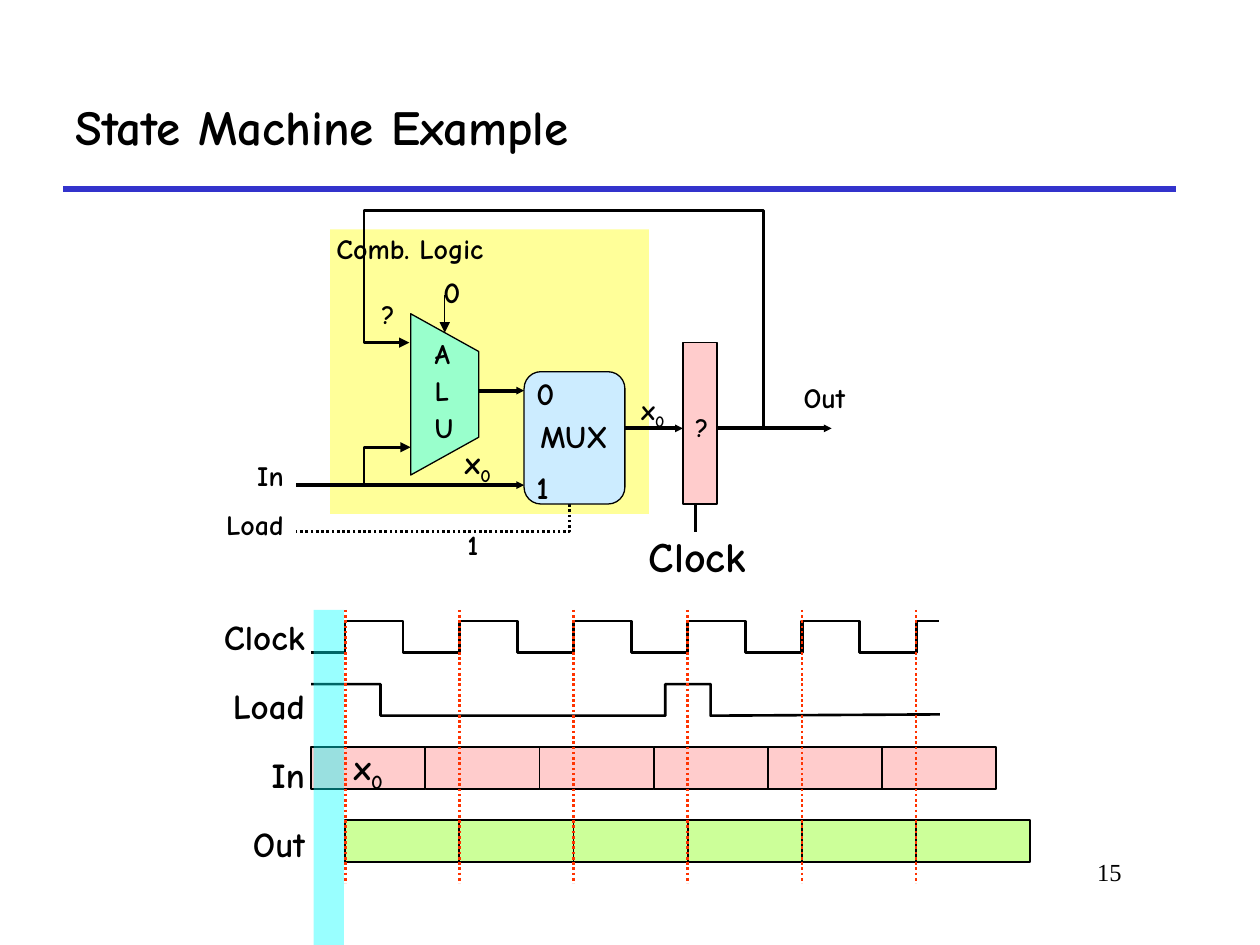
from dataclasses import dataclass
from typing import Optional

import pptx
import pptx.dml.color
import pptx.enum.dml
import pptx.enum.shapes
import pptx.enum.text
import pptx.oxml.ns
import pptx.util
from lxml import etree

Inches, Pt = pptx.util.Inches, pptx.util.Pt
RGBColor = pptx.dml.color.RGBColor
Shape = pptx.enum.shapes.MSO_SHAPE
Align, Anchor = pptx.enum.text.PP_ALIGN, pptx.enum.text.MSO_ANCHOR
qn = pptx.oxml.ns.qn

BLACK = RGBColor(0x00, 0x00, 0x00)
BLUE = RGBColor(0x33, 0x33, 0xCC)
RED = RGBColor(0xFF, 0x33, 0x00)
YELLOW = RGBColor(0xFF, 0xFF, 0x99)
MINT = RGBColor(0x99, 0xFF, 0xCC)
SKY = RGBColor(0xCC, 0xEC, 0xFF)
PINK = RGBColor(0xFF, 0xCC, 0xCC)
LIME = RGBColor(0xCC, 0xFF, 0x99)
CYAN = RGBColor(0x00, 0xFF, 0xFF)

CYCLES = 6
PERIOD = 4.53 / 5
DATA_LEFT = 2.47   # start of the input row
EDGE_LEFT = 2.74   # first rising clock edge
Point = tuple[float, float]


@dataclass
class Label:
    text: str          # paragraphs split by line breaks
    left: float
    top: float
    width: float
    height: float
    size: float = 16
    subscript: str = ""
    inset: float = 0.1
    align: Align = Align.LEFT
    anchor: Anchor = Anchor.TOP
    wrap: bool = True
    bold: bool = True
    font: str = "Comic Neue"
    spacing: float = 0.9


@dataclass
class Stroke:
    width: float
    color: RGBColor = BLACK
    dotted: bool = False
    head: Optional[str] = None   # arrowhead size: sm or med


def write(shape, label: Label) -> None:
    frame = shape.text_frame
    frame.word_wrap = label.wrap
    if not label.wrap:
        frame.auto_size = pptx.enum.text.MSO_AUTO_SIZE.SHAPE_TO_FIT_TEXT
    frame.vertical_anchor = label.anchor
    frame.margin_left = frame.margin_right = Inches(label.inset)
    frame.margin_top = frame.margin_bottom = Inches(0.05)
    for index, line in enumerate(label.text.split("\n")):
        para = frame.add_paragraph() if index else frame.paragraphs[0]
        para.alignment = label.align
        para.line_spacing = label.spacing
        if index:
            para.space_before = Pt(label.size / 4)
        for text, lowered in ((line, False), (label.subscript, True)):
            if not text:
                continue
            span = para.add_run()
            span.text = text
            span.font.name = label.font
            span.font.size = Pt(label.size)
            span.font.bold = label.bold
            span.font.color.rgb = BLACK
            if lowered:
                span.font._element.set("baseline", "-25000")


def add_label(slide, label: Label) -> None:
    box = slide.shapes.add_textbox(Inches(label.left), Inches(label.top),
                                   Inches(label.width), Inches(label.height))
    write(box, label)


def apply_stroke(shape, stroke: Stroke) -> None:
    shape.line.color.rgb = stroke.color
    shape.line.width = Pt(stroke.width)
    if stroke.dotted:
        shape.line.dash_style = pptx.enum.dml.MSO_LINE.ROUND_DOT
    if stroke.head:
        etree.SubElement(shape.element.spPr.find(qn("a:ln")), qn("a:tailEnd"),
                         type="triangle", w=stroke.head, len=stroke.head)


def add_line(slide, start: Point, end: Point, stroke: Stroke) -> None:
    line = slide.shapes.add_connector(
        pptx.enum.shapes.MSO_CONNECTOR.STRAIGHT,
        *(Inches(value) for value in (*start, *end)))
    apply_stroke(line, stroke)
    etree.SubElement(line.element.spPr, qn("a:effectLst"))


def add_outline(slide, points: list[Point], stroke: Stroke,
                fill: Optional[RGBColor] = None) -> None:
    corners = [(Inches(x), Inches(y)) for x, y in points]
    builder = slide.shapes.build_freeform(*corners[0])
    builder.add_line_segments(corners[1:], close=fill is not None)
    finish(builder.convert_to_shape(), fill, stroke)


def finish(shape, fill: Optional[RGBColor], stroke: Optional[Stroke]) -> None:
    shape.shadow.inherit = False
    if fill is None:
        shape.fill.background()
    else:
        shape.fill.solid()
        shape.fill.fore_color.rgb = fill
    if stroke is None:
        shape.line.fill.background()
    else:
        apply_stroke(shape, stroke)


def add_block(slide, left: float, top: float, width: float, height: float,
              fill: RGBColor, stroke: Optional[Stroke] = None, kind: Shape = Shape.RECTANGLE):
    block = slide.shapes.add_shape(kind, Inches(left), Inches(top), Inches(width), Inches(height))
    finish(block, fill, stroke)
    return block


def draw_circuit(slide) -> None:
    thin, wire = Stroke(0.75), Stroke(1.5)
    bus, bent = Stroke(2.25, head="sm"), Stroke(1.5, head="med")

    logic = add_block(slide, 2.62, 1.82, 2.53, 2.26, YELLOW)
    write(logic, Label("Comb. Logic", 2.62, 1.82, 2.53, 2.26, inset=0.05))

    # ALU and its wires
    add_line(slide, (5.7, 3.4), (6.6, 3.4), bus)
    add_line(slide, (3.53, 2.34), (3.53, 2.64), Stroke(0.75, head="med"))
    add_outline(slide, [(3.26, 2.49), (3.8, 2.79), (3.8, 3.47), (3.26, 3.77)], thin, MINT)
    add_line(slide, (2.35, 3.85), (4.16, 3.85), bus)
    add_line(slide, (3.8, 3.1), (4.16, 3.1), bus)
    add_line(slide, (4.88, 3.4), (5.42, 3.4), bus)
    add_outline(slide, [(4.52, 4), (4.52, 4.22), (2.35, 4.22)], Stroke(1.5, dotted=True))

    # Multiplexer, register and feedback
    mux = add_block(slide, 4.16, 2.95, 0.8, 1.05, SKY, thin, Shape.ROUNDED_RECTANGLE)
    write(mux, Label("MUX", 4.16, 2.95, 0.8, 1.05, 18, inset=0,
                     align=Align.CENTER, anchor=Anchor.MIDDLE))
    add_outline(slide, [(2.89, 3.85), (2.89, 3.55), (3.26, 3.55)], bent)
    add_block(slide, 5.42, 2.72, 0.27, 1.28, PINK, thin)
    add_line(slide, (5.52, 4), (5.52, 4.22), wire)
    add_outline(slide, [(5.7, 3.4), (6.06, 3.4), (6.06, 1.67), (2.89, 1.67),
                        (2.89, 2.72), (3.25, 2.72)], bent)

    for label in (
        Label("A\nL\nU", 3.35, 2.65, 0.45, 0.94),
        Label("0", 3.42, 2.16, 0.35, 0.36, 17, wrap=False),
        Label("Out", 6.28, 3, 0.54, 0.34, wrap=False),
        Label("0", 4.16, 2.95, 0.54, 0.38, 18),
        Label("1", 4.16, 3.7, 0.54, 0.38, 18),
        Label("Clock", 5.1, 4.21, 0.88, 0.46, 24, inset=0.05, wrap=False),
        Label("In", 1.45, 3.62, 0.9, 0.34, align=Align.RIGHT),
        Label("Load", 1.25, 4.01, 1.1, 0.34, align=Align.RIGHT),
        Label("x", 3.64, 3.47, 0.31, 0.41, 18, "0", 0.05, wrap=False),
        Label("1", 3.66, 4.17, 0.19, 0.34, inset=0.05, wrap=False),
        Label("x", 5.04, 3.07, 0.32, 0.38, 16, "0", 0.05, wrap=False),
        Label("?", 5.47, 3.24, 0.2, 0.33, 15, inset=0.05, wrap=False),
        Label("?", 2.98, 2.35, 0.2, 0.33, 15, inset=0.05, wrap=False),
    ):
        add_label(slide, label)


def draw_timing(slide) -> None:
    wire, border = Stroke(1.5), Stroke(1)

    # Clock and load waveforms
    high, low = 4.93, 5.18
    wave = [(0, low), (0.27, low), (0.27, high), (0.73, high),
            (0.73, low), (1.18, low), (1.18, high), (1.36, high)]
    for cycle in range(CYCLES - 1):
        start = DATA_LEFT + cycle * PERIOD
        add_outline(slide, [(start + x, y) for x, y in wave], wire)
    add_outline(slide, [(2.47, 5.43), (3.02, 5.43), (3.02, 5.68), (5.28, 5.68), (5.28, 5.43),
                        (5.64, 5.43), (5.64, 5.68), (7.46, 5.67)], wire)

    # Input and output values, one cell per cycle
    for left, top, fill in ((DATA_LEFT, 5.93, PINK), (EDGE_LEFT, 6.51, LIME)):
        for cycle in range(CYCLES):
            cell = add_block(slide, left + cycle * PERIOD, top, PERIOD, 0.33, fill, border)
            if fill == PINK and cycle == 0:
                write(cell, Label("x", left, top, PERIOD, 0.33, 20, "0", 0.05,
                                  Align.CENTER, Anchor.MIDDLE))

    for row, name in enumerate(("Clock", "Load", "In", "Out")):
        add_label(slide, Label(name, 1.48, 4.87 + row * 0.55, 0.99, 0.41, 20,
                               inset=0.05, align=Align.RIGHT))

    # Rising clock edges
    for cycle in range(CYCLES):
        edge = EDGE_LEFT + cycle * PERIOD
        add_line(slide, (edge, 4.84), (edge, 7.01), Stroke(1.5, RED, dotted=True))

    # Translucent band over the current interval
    band = add_block(slide, 2.49, 4.84, 0.24, 2.78, CYAN)
    color = band.element.spPr.find(qn("a:solidFill")).find(qn("a:srgbClr"))
    etree.SubElement(color, qn("a:alpha"), val="40000")


def main() -> None:
    deck = pptx.Presentation()
    deck.slide_width, deck.slide_height = Inches(10), Inches(7.5)
    slide = deck.slides.add_slide(deck.slide_layouts[6])

    # Heading and page number
    add_line(slide, (0.5, 1.5), (9.33, 1.5), Stroke(3, BLUE))
    add_label(slide, Label("State Machine Example", 0.5, 0.5, 8.83, 1, 28,
                           anchor=Anchor.MIDDLE, spacing=1.0))
    add_label(slide, Label("15", 7.58, 6.75, 1.42, 0.5, 14, align=Align.RIGHT,
                           bold=False, font="Times New Roman", spacing=1.0))
    draw_circuit(slide)
    draw_timing(slide)
    deck.save("out.pptx")


if __name__ == "__main__":
    main()
